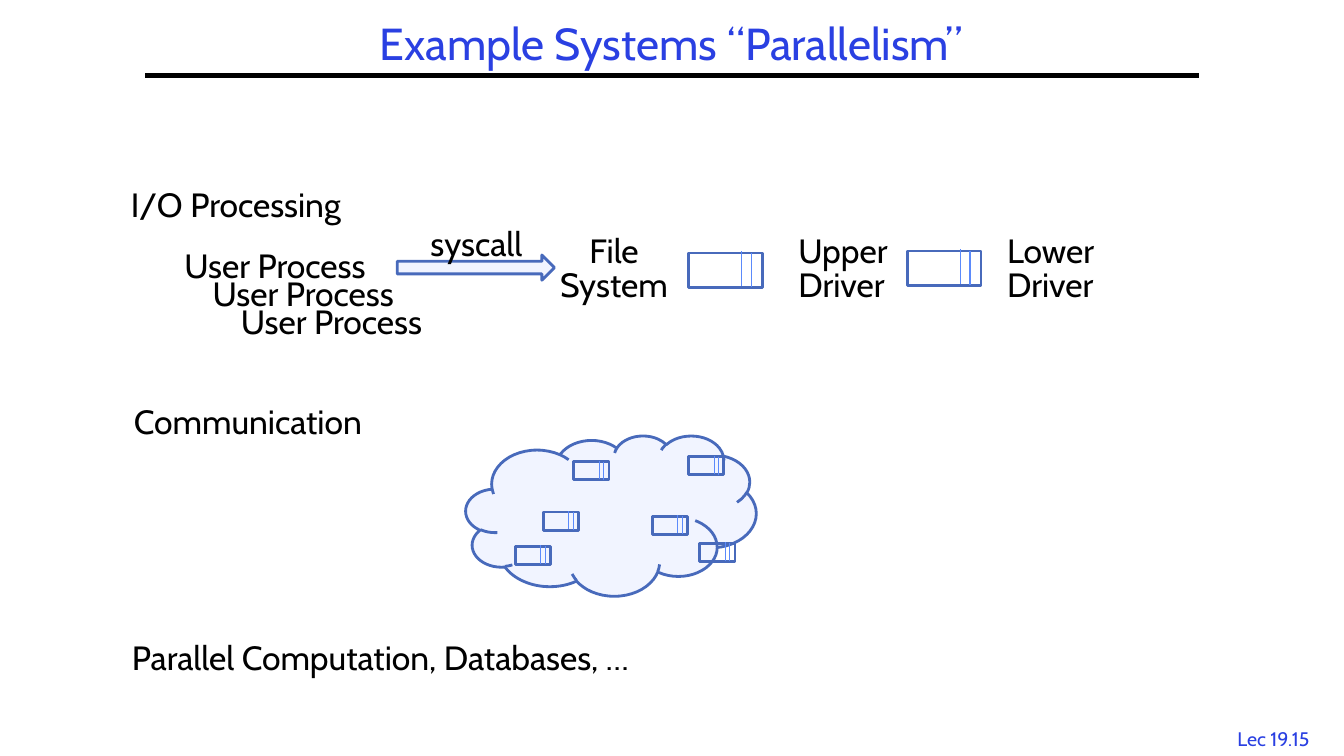
import pptx
import pptx.util
import pptx.dml.color
import pptx.enum.shapes
import pptx.enum.text
import pptx.oxml.ns
import lxml.etree

PX = 9144
SIZE = (1333, 750)
FACE = "Cabin"
HUES = {"title": "2A40E2", "ink": "000000", "edge": "486ABB",
        "pale": "F1F4FF", "thin": "5B8AFB"}
TITLE = ("Example Systems “Parallelism”", (144, 17, 1044, 58))
RULE = (144, 75, 1189, 75)
FOOT = ("Lec 19.15", (1209, 716, 108, 33))
HEADS = [
    ("I/O Processing", (120, 178, 241, 50)),
    ("Communication", (123, 393, 254, 50)),
    ("Parallel Computation, Databases, …", (121, 627, 565, 50)),
]
USERS = {"text": "User Process", "box": (173, 238, 222, 50), "step": 28, "count": 3}
CALL = ("syscall", (417, 216, 121, 50))
STAGES = [
    ("File\nSystem", (543, 229, 132, 79), "CENTER"),
    ("Upper Driver", (782, 229, 143, 79), "LEFT"),
    ("Lower Driver", (989, 229, 139, 79), "LEFT"),
]
ARROW = (394, 253, 156, 25)
CLOUD = (462, 432, 288, 159)
BIG = (73, 34)
SMALL = (35, 18)
QUEUES = [(683, 251, BIG), (900, 249, BIG)] + [
    (x, y, SMALL) for x, y in
    [(539, 508), (569, 458), (647, 512), (683, 453), (511, 542), (694, 539)]]

SHAPE = pptx.enum.shapes.MSO_SHAPE
ALIGN = pptx.enum.text.PP_ALIGN
ANCHOR = pptx.enum.text.MSO_ANCHOR


def emu(box):
    return [round(v * PX) for v in box]


def hue(name):
    return pptx.dml.color.RGBColor.from_string(HUES[name])


def style(item, **form):
    for key, val in form.items():
        setattr(item, key, val)


def write(frame, text, size=24, tint="ink", **form):
    frame.word_wrap = True
    frame.text = text
    for para in frame.paragraphs:
        style(para, **form)
        style(para.font, name=FACE, size=pptx.util.Pt(size))
        para.font.color.rgb = hue(tint)


def label(text, box, **form):
    write(slide.shapes.add_textbox(*emu(box)).text_frame, text, **form)


def shape(home, kind, box, fill=None):
    item = home.add_shape(kind, *emu(box))
    item.shadow.inherit = False
    if fill:
        item.fill.solid()
        item.fill.fore_color.rgb = hue(fill)
    else:
        item.fill.background()
    item.line.color.rgb = hue("edge")
    item.line.width = pptx.util.Pt(2)


def line(home, ends, tint, width):
    item = home.add_connector(pptx.enum.shapes.MSO_CONNECTOR.STRAIGHT, *emu(ends))
    item.line.color.rgb = hue(tint)
    item.line.width = pptx.util.Pt(width)
    lxml.etree.SubElement(item._element.spPr, pptx.oxml.ns.qn("a:effectLst"))


def queue(x, y, size):
    wide, high = size
    home = slide.shapes.add_group_shape().shapes
    shape(home, SHAPE.RECTANGLE, (x, y, wide, high))
    for part, lift in [(0.85, 0), (0.72, 0.05 * high)]:
        at = x + part * wide
        line(home, (at, y - lift, at, y + high - lift), "thin", 0.75)


deck = pptx.Presentation()
deck.slide_width, deck.slide_height = emu(SIZE)
slide = deck.slides.add_slide(deck.slide_layouts[5])

text, box = TITLE
title = slide.shapes.title
style(title, **dict(zip(("left", "top", "width", "height"), emu(box))))
title.text_frame.vertical_anchor = ANCHOR.MIDDLE
write(title.text_frame, text, size=32, tint="title",
      alignment=ALIGN.CENTER, line_spacing=0.9)
line(slide.shapes, RULE, "ink", 3)
label(*FOOT, size=14, tint="title", alignment=ALIGN.CENTER)

shape(slide.shapes, SHAPE.RIGHT_ARROW, ARROW, "pale")
shape(slide.shapes, SHAPE.CLOUD, CLOUD, "pale")
for item in QUEUES:
    queue(*item)

for text, box in HEADS + [CALL]:
    label(text, box)
left, top, wide, high = USERS["box"]
for n in range(USERS["count"]):
    move = n * USERS["step"]
    label(USERS["text"], (left + move, top + move, wide, high))
for text, box, side in STAGES:
    label(text, box, alignment=ALIGN[side], line_spacing=0.85)

deck.save("out.pptx")
